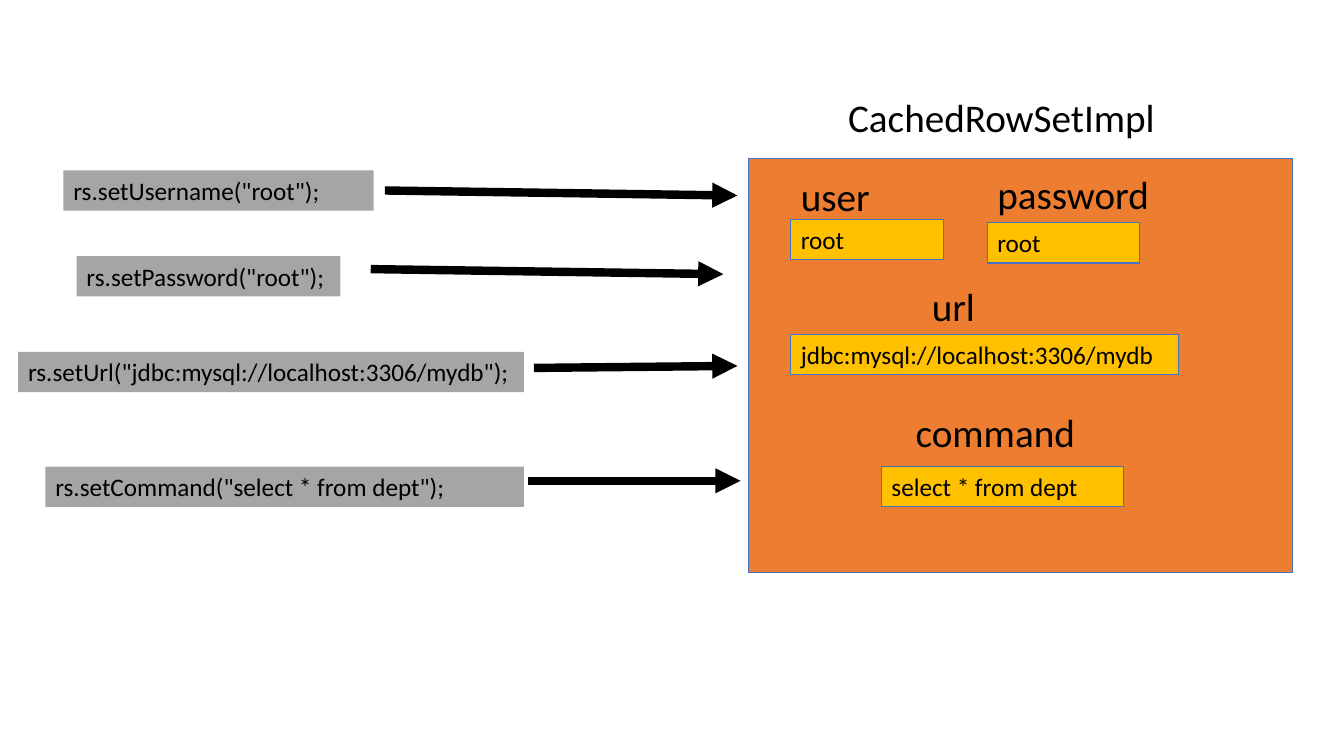
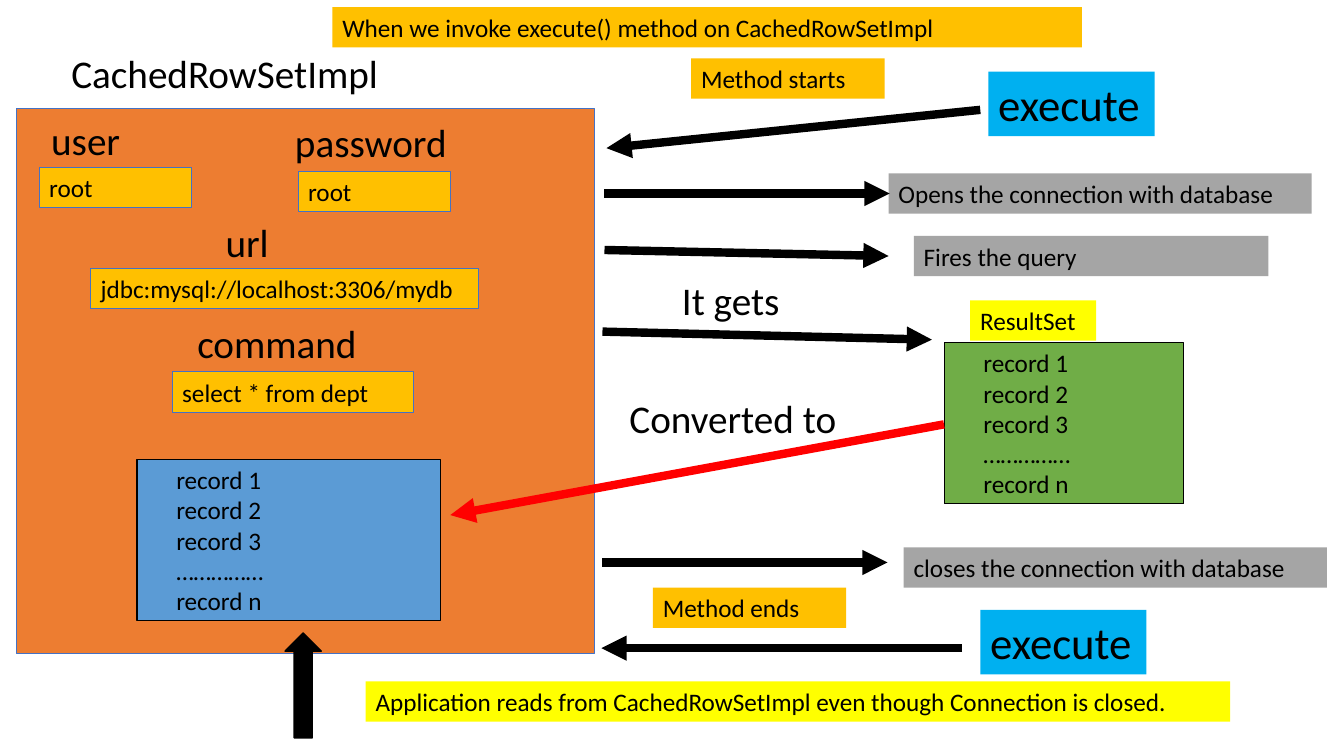
from dataclasses import dataclass

from pptx import Presentation
from pptx import util as u
from pptx.dml.color import RGBColor
from pptx.enum import shapes, text
from pptx.oxml import xmlchemy
from pptx.oxml.ns import qn

PX = 9144  # EMU in one px, 100 px to the inch
SLIDE_SIZE = (1334, 750)


@dataclass(frozen=True)
class Theme:
    font: str = "Calibri"
    ink: str = "000000"
    panel: str = "ED7D31"
    edge: str = "4472C4"
    value: str = "FFC000"
    step: str = "A5A5A5"
    execute: str = "00B0F0"
    note: str = "FFFF00"
    result: str = "70AD47"
    cache: str = "5B9BD5"
    convert: str = "FF0000"
    body: int = 18
    label: int = 28
    button: int = 32
    hairline: float = 0.75
    arrow: int = 6


THEME = Theme()
BAR_HEIGHT, LABEL_HEIGHT, BUTTON_HEIGHT, RECORDS_HEIGHT = 40, 57, 64, 160
INSETS = dict(margin_left=10, margin_top=5, margin_right=10, margin_bottom=5)
RECORDS = ["record 1", "record 2", "record 3", "……………", "record n"]
RECORD_INSET = 39


# ---- Shared parts ----
def apply(target, values):
    for name, value in values.items():
        setattr(target, name, value)


def emu(*lengths):
    return [u.Emu(length * PX) for length in lengths]


def paint_line(line, color, width):
    line.color.rgb = RGBColor.from_string(color)
    line.width = u.Pt(width)


def write(shape, lines, size, inset=10):
    frame = shape.text_frame
    margins = {**INSETS, "margin_left": inset}
    apply(frame, {name: u.Emu(value * PX) for name, value in margins.items()})
    apply(frame, dict(word_wrap=True, vertical_anchor=text.MSO_ANCHOR.TOP,
                      auto_size=text.MSO_AUTO_SIZE.SHAPE_TO_FIT_TEXT))
    for index, content in enumerate(lines):
        paragraph = frame.add_paragraph() if index else frame.paragraphs[0]
        paragraph.alignment = text.PP_ALIGN.LEFT
        run = paragraph.add_run()
        run.text = content
        apply(run.font, dict(name=THEME.font, size=u.Pt(size)))
        run.font.color.rgb = RGBColor.from_string(THEME.ink)


def add_block(slide, box, fill, edge=None, width=THEME.hairline,
              preset=shapes.MSO_SHAPE.RECTANGLE):
    shape = slide.shapes.add_shape(preset, *emu(*box))
    shape.shadow.inherit = False
    shape.fill.solid()
    shape.fill.fore_color.rgb = RGBColor.from_string(fill)
    if edge:
        paint_line(shape.line, edge, width)
    else:
        shape.line.fill.background()
    return shape


def add_bar(slide, left, top, width, content, fill, edge=None):
    shape = add_block(slide, (left, top, width, BAR_HEIGHT), fill, edge)
    write(shape, [content], THEME.body)


def add_label(slide, left, top, width, content):
    shape = slide.shapes.add_textbox(*emu(left, top, width, LABEL_HEIGHT))
    write(shape, [content], THEME.label)


def add_button(slide, left, top):
    shape = add_block(slide, (left, top, 165, BUTTON_HEIGHT), THEME.execute)
    write(shape, ["execute"], THEME.button)


def add_records(slide, left, top, width, fill):
    shape = add_block(slide, (left, top, width, RECORDS_HEIGHT), fill, THEME.ink)
    write(shape, RECORDS, THEME.body, RECORD_INSET)


def add_arrow(slide, start, end, color=THEME.ink):
    connector = slide.shapes.add_connector(
        shapes.MSO_CONNECTOR.STRAIGHT, *emu(*start, *end))
    paint_line(connector.line, color, THEME.arrow)
    head = xmlchemy.OxmlElement("a:tailEnd")
    head.set("type", "triangle")
    properties = connector.element.find(qn("p:spPr"))
    properties.find(qn("a:ln")).append(head)
    properties.append(xmlchemy.OxmlElement("a:effectLst"))


# ---- Regions ----
def row_set_panel(slide, box, title_offset, fields):
    """Titled panel; each field has a label and a value, each (x, y, width)."""
    left, top = box[:2]
    add_block(slide, box, THEME.panel, THEME.edge)
    add_label(slide, left + title_offset[0], top + title_offset[1], 361,
              "CachedRowSetImpl")
    for name, label, content, value in fields:
        add_bar(slide, left + value[0], top + value[1], value[2], content,
                THEME.value, THEME.edge)
        add_label(slide, left + label[0], top + label[1], label[2], name)


def setter_calls(slide, box):
    """Code lines, each with an arrow towards the panel."""
    left, top = box[:2]
    calls = [
        (45, 0, 308, 'rs.setUsername("root");', (364, 20), (714, 25)),
        (58, 85, 262, 'rs.setPassword("root");', (350, 98), (700, 103)),
        (0, 180, 502, 'rs.setUrl("jdbc:mysql://localhost:3306/mydb");',
         (512, 196), (714, 194)),
        (27, 294, 475, 'rs.setCommand("select * from dept");',
         (506, 308), (717, 308)),
    ]
    for x, y, width, code, start, end in calls:
        add_bar(slide, left + x, top + y, width, code, THEME.step)
        add_arrow(slide, (left + start[0], top + start[1]),
                  (left + end[0], top + end[1]))


def execution_steps(slide, box):
    """What happens between the start and the end of execute()."""
    left, top = box[:2]
    for x, y in [(384, 64), (376, 598)]:
        add_button(slide, left + x, top + y)
    bars = [
        (285, 165, 420, "Opens the connection with database", THEME.step),
        (310, 227, 352, "Fires the query", THEME.step),
        (366, 291, 125, "ResultSet", THEME.note),
        (300, 536, 420, "closes the connection with database", THEME.step),
        (89, 51, 192, "Method starts", THEME.value),
        (51, 576, 192, "Method ends", THEME.value),
    ]
    for x, y, width, content, fill in bars:
        add_bar(slide, left + x, top + y, width, content, fill)
    add_records(slide, left + 340, top + 333, 238, THEME.result)
    for x, y, width, content in [(70, 262, 132, "It gets"),
                                 (18, 379, 244, "Converted to")]:
        add_label(slide, left + x, top + y, width, content)
    arrows = [
        (376, 102, 5, 140), (3, 185, 286, 185), (3, 241, 285, 247),
        (1, 322, 328, 330), (1, 551, 284, 551), (358, 636, 0, 636),
    ]
    for x1, y1, x2, y2 in arrows:
        add_arrow(slide, (left + x1, top + y1), (left + x2, top + y2))
    # Result rows go back into the row set
    add_arrow(slide, (left + 340, top + 414), (left - 150, top + 504),
              THEME.convert)


def cached_records(slide, box):
    """Rows kept in the panel, with the arrow of the reading application."""
    left, top, width = box[:3]
    add_records(slide, left, top, width, THEME.cache)
    add_block(slide, (left + 147, top + 172, 36, 104), THEME.ink, THEME.ink, 1,
              shapes.MSO_SHAPE.UP_ARROW)


# ---- Slides ----
def configure_slide(slide):
    row_set_panel(slide, (743, 157, 540, 411), (89, -69), [
        ("user", (42, 9, 107), "root", (42, 61, 152)),
        ("password", (237, 7, 185), "root", (237, 64, 151)),
        ("url", (172, 118, 129), "jdbc:mysql://localhost:3306/mydb",
         (42, 175, 385)),
        ("command", (156, 243, 232), "select * from dept", (132, 306, 240)),
    ])
    setter_calls(slide, (18, 169, 717, 334))


def execute_slide(slide):
    row_set_panel(slide, (16, 108, 574, 540), (45, -64), [
        ("user", (25, 2, 107), "root", (23, 58, 151)),
        ("password", (267, 4, 177), "root", (280, 62, 151)),
        ("url", (198, 104, 82), "jdbc:mysql://localhost:3306/mydb",
         (74, 158, 385)),
        ("command", (170, 204, 211), "select * from dept", (155, 261, 240)),
    ])
    cached_records(slide, (136, 456, 301, 276))
    execution_steps(slide, (597, 7, 720, 662))
    add_bar(slide, 330, 7, 744,
            "When we invoke execute() method on CachedRowSetImpl", THEME.value)
    add_bar(slide, 363, 676, 858,
            "Application reads from CachedRowSetImpl even though Connection "
            "is closed.", THEME.note)


def main():
    presentation = Presentation()
    width, height = emu(*SLIDE_SIZE)
    apply(presentation, dict(slide_width=width, slide_height=height))
    for build in (configure_slide, execute_slide):
        build(presentation.slides.add_slide(presentation.slide_layouts[6]))
    presentation.save("out.pptx")


if __name__ == "__main__":
    main()
